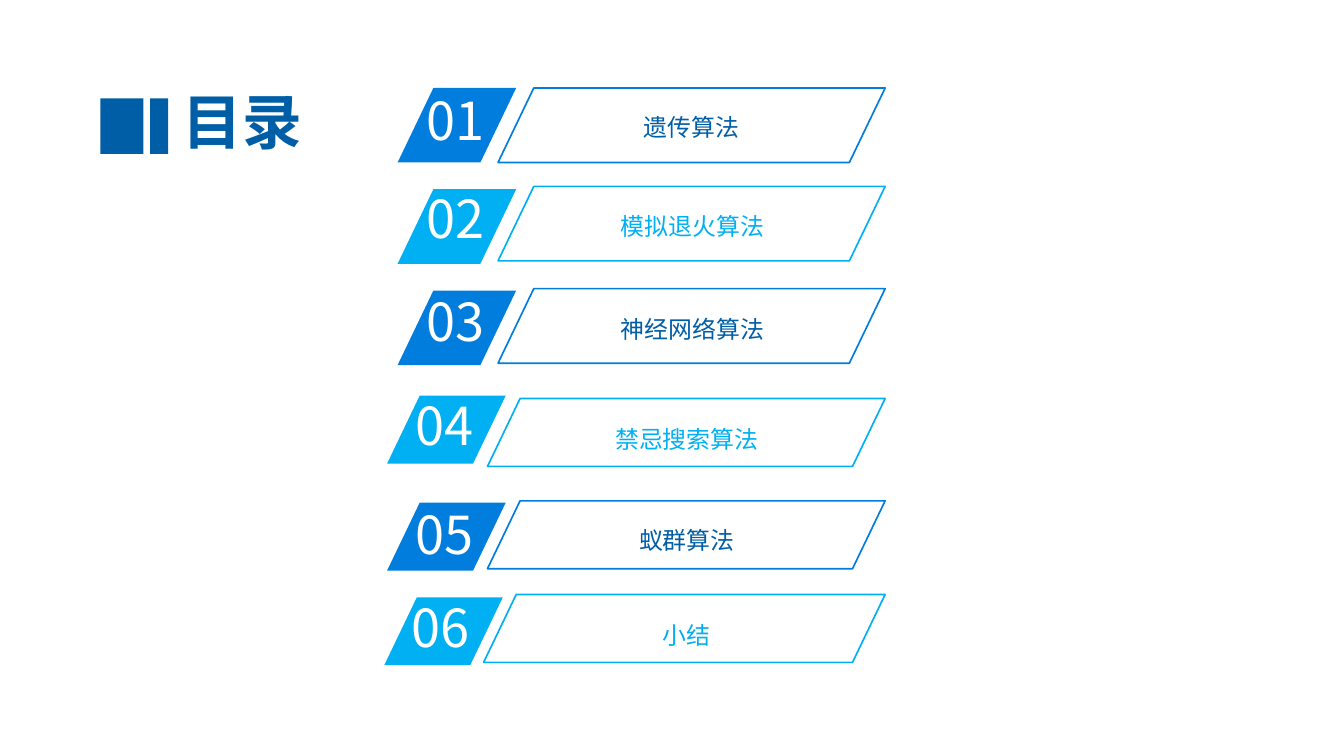
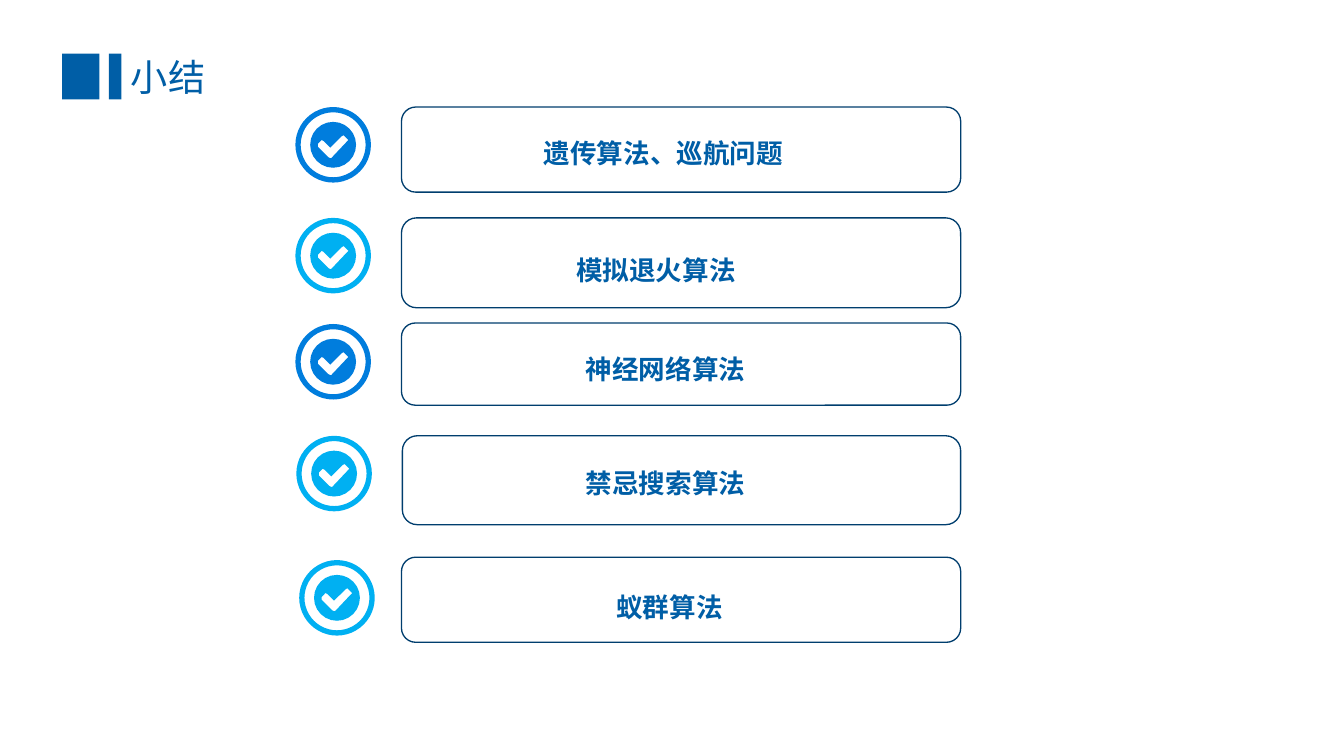
"""Build the contents slide and the summary slide of an algorithms lecture."""
import math

from pptx import Presentation
from pptx.dml.color import RGBColor
from pptx.enum import shapes, text
from pptx.oxml import ns
from pptx.util import Inches, Pt
from lxml import etree

FONT = "Noto Sans CJK SC"
DEEP_BLUE = RGBColor(0x00, 0x5E, 0xA6)
BLUE = RGBColor(0x00, 0x7D, 0xDD)
SKY = RGBColor(0x00, 0xB0, 0xF2)
NAVY = RGBColor(0x00, 0x3E, 0x6E)
WHITE = RGBColor(0xFF, 0xFF, 0xFF)
LEFT, CENTER, JUSTIFY = text.PP_ALIGN.LEFT, text.PP_ALIGN.CENTER, text.PP_ALIGN.JUSTIFY
TOP, MIDDLE = text.MSO_ANCHOR.TOP, text.MSO_ANCHOR.MIDDLE
PRESET = shapes.MSO_SHAPE


def write(shape, content, size, color, align=LEFT, bold=False, spacing=1.0, anchor=TOP):
    frame = shape.text_frame
    frame.text = content
    frame.word_wrap = True
    frame.auto_size = text.MSO_AUTO_SIZE.NONE
    frame.vertical_anchor = anchor
    paragraph = frame.paragraphs[0]
    paragraph.alignment = align
    paragraph.line_spacing = spacing
    paragraph.space_before = Pt(0)
    font = paragraph.runs[0].font
    font.size, font.bold, font.name = Pt(size), bold, FONT
    font.color.rgb = color
    properties = paragraph.runs[0]._r.get_or_add_rPr()
    etree.SubElement(properties, ns.qn("a:ea")).set("typeface", FONT)


def paint(shape, fill=None, line=None, width=1.0):
    shape.shadow.inherit = False
    if fill is None:
        shape.fill.background()
    else:
        shape.fill.solid()
        shape.fill.fore_color.rgb = fill
    if line is None:
        shape.line.fill.background()
    else:
        shape.line.color.rgb = line
        shape.line.width = Pt(width)


presentation = Presentation()
presentation.slide_width = Inches(14.06)
presentation.slide_height = Inches(7.91)

HEADINGS = [
    ("目录", 45, True, CENTER, MIDDLE, (0.8, 0.88, 3.47, 0.76),
     [(1.05, 1.03, 0.45, 0.58), (1.57, 1.03, 0.19, 0.58)]),
    ("小结", 28, False, LEFT, TOP, (1.27, 0.52, 5.3, 0.57),
     [(0.65, 0.56, 0.39, 0.48), (1.14, 0.56, 0.13, 0.48)]),
]
for heading, size, bold, align, anchor, place, bars in HEADINGS:
    slide = presentation.slides.add_slide(presentation.slide_layouts[5])
    title = slide.shapes.title
    title.left, title.top, title.width, title.height = map(Inches, place)
    write(title, heading, size, DEEP_BLUE, align, bold, anchor=anchor)
    for bar in bars:
        paint(slide.shapes.add_shape(PRESET.RECTANGLE, *map(Inches, bar)), DEEP_BLUE)

contents, summary = presentation.slides

FRAME_RIGHT = 9.26
CHAPTERS = [
    ("遗传算法", (4.16, 0.92), (4.36, 0.87, 1.18, 0.76), (5.21, 0.92), 0.78,
     (5.75, 0.98, 2.97, 0.49)),
    ("模拟退火算法", (4.16, 1.98), (4.36, 1.9, 1.18, 0.84), (5.21, 1.95), 0.78,
     (5.76, 2.02, 2.97, 0.54)),
    ("神经网络算法", (4.16, 3.04), (4.36, 2.98, 1.18, 0.84), (5.21, 3.02), 0.78,
     (5.76, 3.09, 2.97, 0.54)),
    ("禁忌搜索算法", (4.05, 4.14), (4.25, 4.07, 1.18, 0.76), (5.1, 4.17), 0.71,
     (5.66, 4.24, 3.05, 0.49)),
    ("蚁群算法", (4.05, 5.26), (4.25, 5.21, 1.18, 0.76), (5.1, 5.24), 0.71,
     (5.66, 5.3, 3.05, 0.49)),
    ("小结", (4.02, 6.25), (4.21, 6.18, 1.18, 0.76), (5.06, 6.22), 0.71,
     (5.64, 6.29, 3.08, 0.49)),
]
for index, (label, tag_corner, number_place, corner, height, label_place) in enumerate(CHAPTERS):
    color, label_color = [(BLUE, DEEP_BLUE), (SKY, SKY)][index % 2]
    tag = contents.shapes.add_shape(
        PRESET.PARALLELOGRAM, *map(Inches, (*tag_corner, 1.24, height)))
    paint(tag, color)
    number_box = contents.shapes.add_textbox(*map(Inches, number_place))
    write(number_box, f"{index + 1:02d}", 39.4, WHITE)

    label_box = contents.shapes.add_textbox(*map(Inches, label_place))
    write(label_box, label, 18, label_color, CENTER, spacing=1.5)
    outline = contents.shapes.add_shape(
        PRESET.PARALLELOGRAM, *map(Inches, (*corner, FRAME_RIGHT - corner[0], height)))
    paint(outline, line=color, width=1.25)
    for shape in (tag, outline):
        shape.adjustments[0] = 0.48

RING = 0.79
DISC_RADIUS = 0.24
CIRCLE_STEPS = 24
CHECK = [(0.15, -0.06), (0.11, -0.1), (0.09, -0.09), (-0.03, 0.03), (-0.1, -0.04),
         (-0.12, -0.05), (-0.16, -0.01), (-0.16, 0.02), (-0.05, 0.13), (-0.03, 0.14),
         (-0.02, 0.14), (0.15, -0.04), (0.16, -0.05)]
CIRCLE = [(DISC_RADIUS * math.cos(math.tau * step / CIRCLE_STEPS),
           DISC_RADIUS * math.sin(math.tau * step / CIRCLE_STEPS))
          for step in range(CIRCLE_STEPS)]
TOPICS = [
    ("遗传算法、巡航问题", BLUE, (3.09, 1.12), (5.59, 1.32, 3.01, 0.45), (4.2, 1.12, 5.85, 0.89)),
    ("模拟退火算法", SKY, (3.09, 2.28), (5.93, 2.54, 1.9, 0.45), (4.2, 2.28, 5.85, 0.94)),
    ("神经网络算法", BLUE, (3.09, 3.39), (6.03, 3.58, 1.9, 0.45), (4.2, 3.38, 5.85, 0.86)),
    ("禁忌搜索算法", SKY, (3.1, 4.56), (6.03, 4.77, 1.9, 0.45), (4.21, 4.56, 5.84, 0.93)),
    ("蚁群算法", SKY, (3.13, 5.86), (6.35, 6.07, 1.33, 0.45), (4.2, 5.83, 5.85, 0.89)),
]
for label, color, (ring_left, ring_top), label_place, outline_place in TOPICS:
    ring = summary.shapes.add_shape(
        PRESET.DONUT, *map(Inches, (ring_left, ring_top, RING, RING)))
    ring.adjustments[0] = 0.07
    paint(ring, color)

    center_x, center_y = ring_left + RING / 2, ring_top + RING / 2
    disc, check = [[(Inches(center_x + x), Inches(center_y + y)) for x, y in points]
                   for points in (CIRCLE, CHECK)]
    builder = summary.shapes.build_freeform(*disc[0])
    builder.add_line_segments(disc[1:], close=True)
    builder.move_to(*check[0])
    builder.add_line_segments(check[1:], close=True)
    paint(builder.convert_to_shape(), color)

    label_box = summary.shapes.add_textbox(*map(Inches, label_place))
    write(label_box, label, 20, DEEP_BLUE, JUSTIFY, bold=True, spacing=1.2)
    outline = summary.shapes.add_shape(PRESET.ROUNDED_RECTANGLE, *map(Inches, outline_place))
    paint(outline, line=NAVY)

presentation.save("out.pptx")
